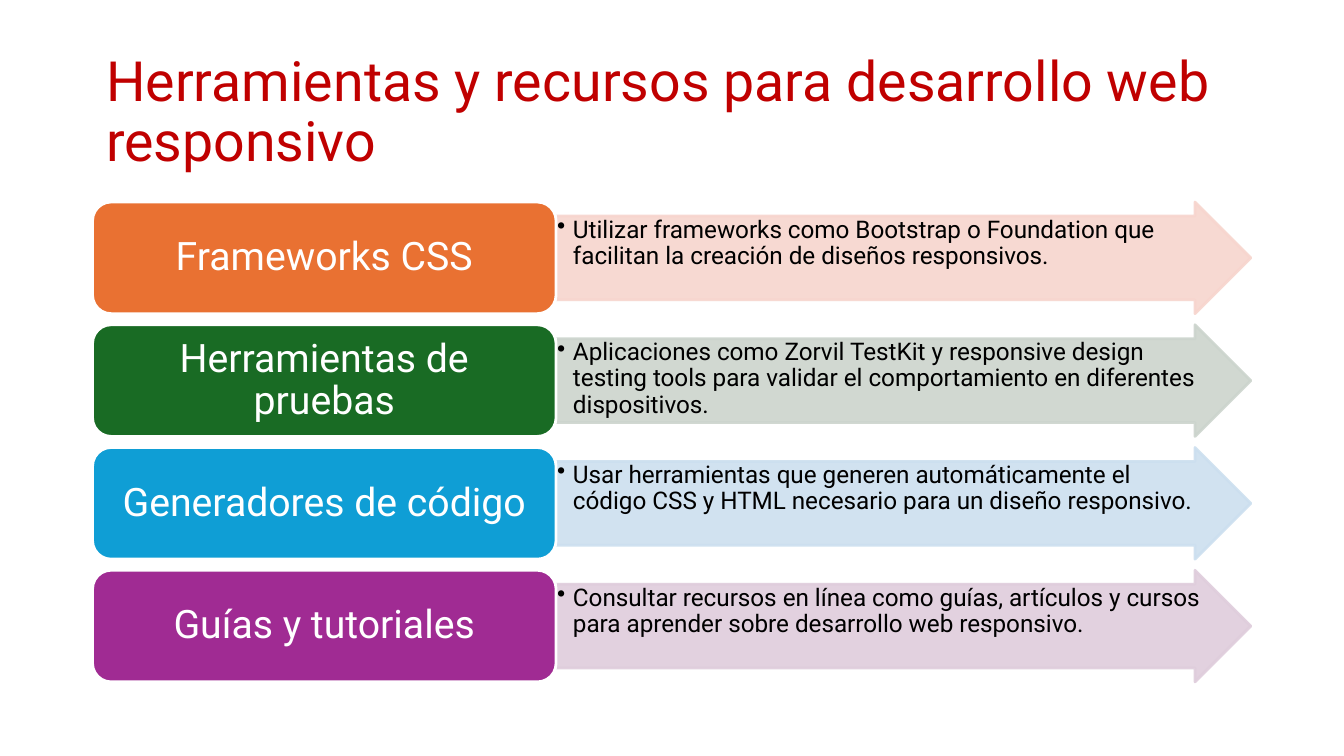
from lxml import etree
from pptx import Presentation
from pptx import util as u
from pptx.dml.color import RGBColor
from pptx.enum import shapes, text
from pptx.oxml import ns

Cm, Pt = u.Cm, u.Pt
FONT = "Roboto"
COLORS = {
    "title": "C00000", "white": "FFFFFF", "black": "000000",
    "orange": "E97132", "orange_light": "F7D5CE",
    "green": "196B24", "green_light": "CCD4CD",
    "blue": "0F9ED5", "blue_light": "CCDFEF",
    "purple": "A02B93", "purple_light": "DFCDDC",
}
TITLE = "Herramientas y recursos para desarrollo web responsivo"
TOOLS = [
    ("orange", "Frameworks CSS",
     "Utilizar frameworks como Bootstrap o Foundation que facilitan "
     "la creación de diseños responsivos."),
    ("green", "Herramientas de pruebas",
     "Aplicaciones como Zorvil TestKit y responsive design testing tools "
     "para validar el comportamiento en diferentes dispositivos."),
    ("blue", "Generadores de código",
     "Usar herramientas que generen automáticamente el código CSS y HTML "
     "necesario para un diseño responsivo."),
    ("purple", "Guías y tutoriales",
     "Consultar recursos en línea como guías, artículos y cursos para "
     "aprender sobre desarrollo web responsivo."),
]
LEFT, TOP, PITCH, HEIGHT = 1.75, 3.82, 2.32, 2.11
LABEL_W, ARROW_W = 8.76, 13.13


def rgb(name):
    return RGBColor.from_string(COLORS[name])


def write(s, content, size, color, align, anchor):
    tf = s.text_frame
    tf.text = content
    tf.word_wrap = True
    tf.auto_size = text.MSO_AUTO_SIZE.NONE
    tf.vertical_anchor = anchor
    p = tf.paragraphs[0]
    p.alignment = align
    p.line_spacing = 0.9
    font = p.runs[0].font
    font.name, font.size = FONT, Pt(size)
    font.color.rgb = rgb(color)
    return p


def set_insets(s, horizontal, vertical):
    tf = s.text_frame
    tf.margin_left = tf.margin_right = Cm(horizontal)
    tf.margin_top = tf.margin_bottom = Cm(vertical)


def add_block(slide, kind, left, top, width, fill, line):
    s = slide.shapes.add_shape(kind, Cm(left), Cm(top), Cm(width), Cm(HEIGHT))
    s.shadow.inherit = False
    s.fill.solid()
    s.fill.fore_color.rgb = rgb(fill)
    s.line.color.rgb = rgb(line)
    s.line.width = Pt(1.5)
    return s


def set_opacity(s, percent):
    for color in s._element.spPr.iter(ns.qn("a:srgbClr")):
        etree.SubElement(color, ns.qn("a:alpha"), val=str(percent * 1000))


def add_bullet(p):
    pPr = p._p.get_or_add_pPr()
    pPr.set("marL", str(Cm(0.3)))
    pPr.set("indent", str(Cm(-0.3)))
    etree.SubElement(pPr, ns.qn("a:buChar"), char="•")


def add_arrow(slide, top, color, content):
    light = color + "_light"
    s = add_block(slide, shapes.MSO_SHAPE.RIGHT_ARROW, LEFT + LABEL_W, top,
                  ARROW_W, light, light)
    s.adjustments[0] = 0.75
    s.adjustments[1] = 0.5
    set_opacity(s, 90)
    set_insets(s, 0.02, 0.02)
    p = write(s, content, 13, "black", text.PP_ALIGN.LEFT, text.MSO_ANCHOR.TOP)
    add_bullet(p)


def add_label(slide, top, color, content):
    s = add_block(slide, shapes.MSO_SHAPE.ROUNDED_RECTANGLE, LEFT, top,
                  LABEL_W, color, "white")
    set_insets(s, 0.22, 0.11)
    write(s, content, 21, "white", text.PP_ALIGN.CENTER, text.MSO_ANCHOR.MIDDLE)


def set_title(slide):
    s = slide.shapes.title
    s.left, s.top, s.width, s.height = Cm(1.75), Cm(0.76), Cm(21.9), Cm(2.77)
    write(s, TITLE, 29.7, "title", text.PP_ALIGN.LEFT, text.MSO_ANCHOR.MIDDLE)


def main():
    prs = Presentation()
    prs.slide_width, prs.slide_height = Cm(25.4), Cm(14.29)
    slide = prs.slides.add_slide(prs.slide_layouts[5])
    set_title(slide)
    for i, (color, label, description) in enumerate(TOOLS):
        top = TOP + i * PITCH
        add_arrow(slide, top, color, description)
        add_label(slide, top, color, label)
    prs.save("out.pptx")


if __name__ == "__main__":
    main()
